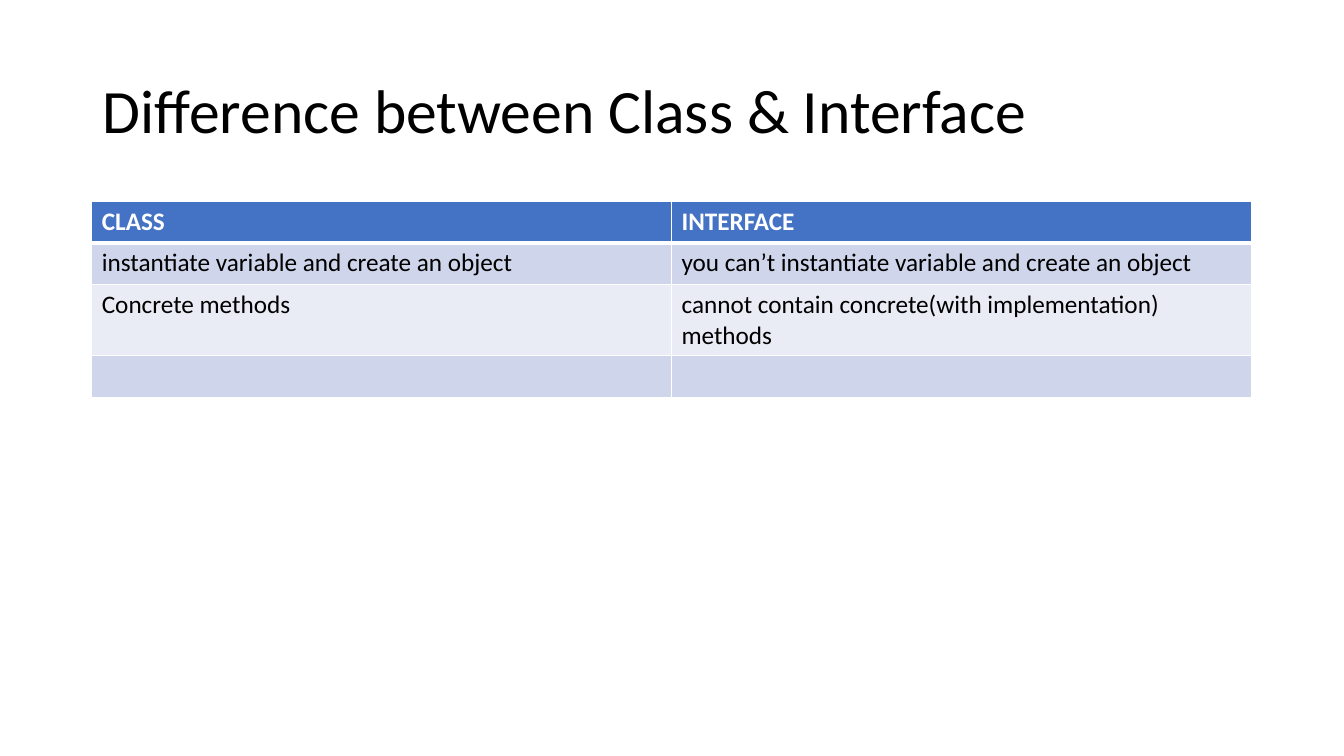
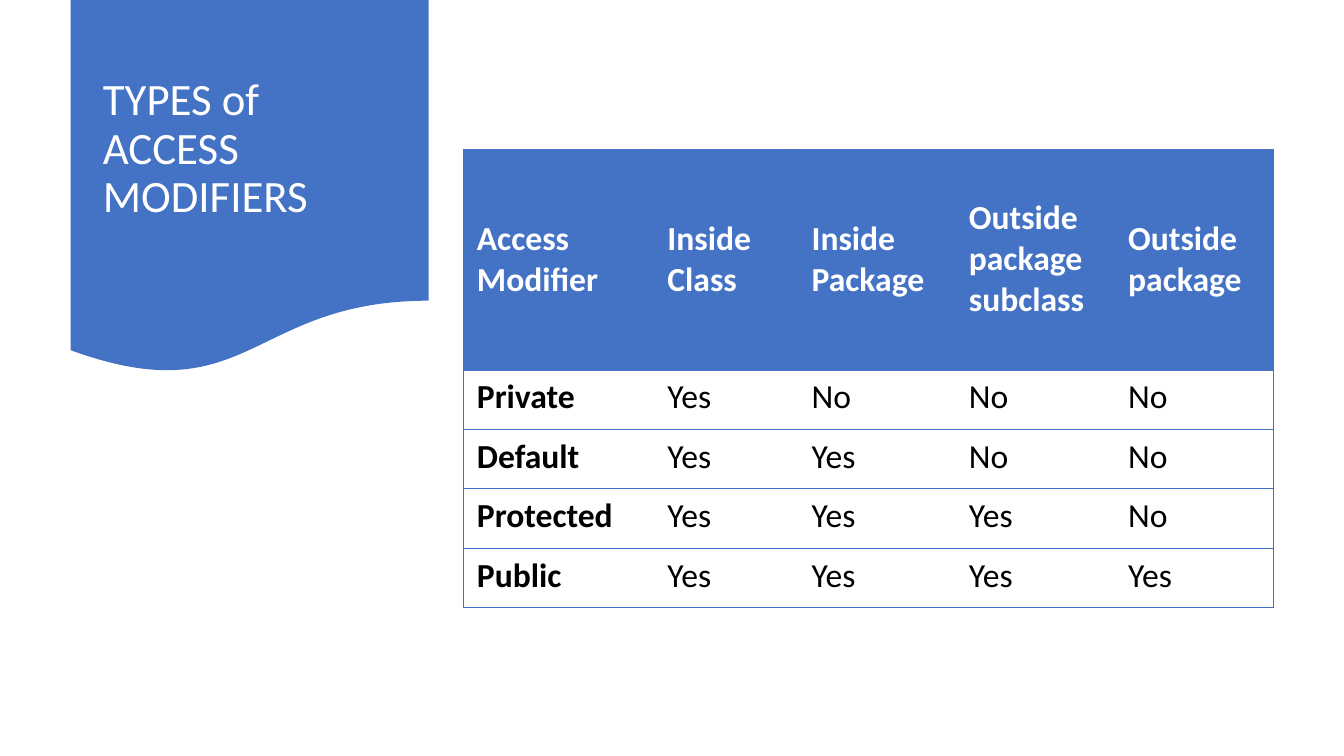
from pptx import Presentation
from pptx import util as u
from pptx.dml import color as dml
from pptx.enum import shapes, text
from pptx.oxml import parse_xml
from pptx.oxml import ns

BLUE, WHITE, BLACK = "4472C4", "FFFFFF", "000000"
BANDS = ["CFD5EA", "E9EBF5"]
FONT = "Calibri"
tone = dml.RGBColor.from_string


def style(frame, size, ink, bold=False):
    for para in frame.paragraphs:
        para.font.size = u.Pt(size)
        for run in para.runs:
            run.font.name = FONT
            run.font.size = u.Pt(size)
            run.font.bold = bold
            run.font.color.rgb = tone(ink)


def edge(cell, sides):
    props = cell._tc.get_or_add_tcPr()
    for spot, side in enumerate("LRTB"):
        ink, width = sides[side]
        fill = f'<a:solidFill><a:srgbClr val="{ink}"/></a:solidFill>' if ink else "<a:noFill/>"
        line = f'<a:ln{side} {ns.nsdecls("a")} w="{u.Pt(width)}">{fill}</a:ln{side}>'
        props.insert(spot, parse_xml(line))


deck = Presentation()
deck.slide_width = u.Inches(13.33)
deck.slide_height = u.Inches(7.5)

heads = [
    ("Difference between Class & Interface", (0.92, 0.4, 11.5, 1.45), 44, BLACK),
    ("TYPES of ACCESS MODIFIERS", (0.92, 0.19, 3.11, 2.59), 32, WHITE),
]
slides = []
for words, place, size, ink in heads:
    slide = deck.slides.add_slide(deck.slide_layouts[5])
    title = slide.shapes.title
    title.left, title.top, title.width, title.height = map(u.Inches, place)
    frame = title.text_frame
    frame.text = words
    frame.word_wrap = True
    frame.auto_size = text.MSO_AUTO_SIZE.NONE
    frame.vertical_anchor = text.MSO_ANCHOR.MIDDLE
    frame.paragraphs[0].alignment = text.PP_ALIGN.LEFT
    frame.paragraphs[0].line_spacing = 0.9
    style(frame, size, ink)
    slides.append(slide)

first, second = slides

rows = [
    ["CLASS", "INTERFACE"],
    ["instantiate variable and create an object",
     "you can’t instantiate variable and create an object"],
    ["Concrete methods", "cannot contain concrete(with implementation) methods"],
    ["", ""],
]
place = map(u.Inches, (0.91, 2, 11.5, 1.64))
table = first.shapes.add_table(len(rows), 2, *place).table
for r, row in enumerate(rows):
    table.rows[r].height = u.Inches(0.41)
    for c, words in enumerate(row):
        cell = table.cell(r, c)
        cell.text_frame.text = words
        style(cell.text_frame, 18, BLACK if r else WHITE, r == 0)
        cell.fill.solid()
        cell.fill.fore_color.rgb = tone(BANDS[(r - 1) % 2] if r else BLUE)
        sides = dict.fromkeys("LRTB", (WHITE, 1))
        if r < 2:
            sides["T" if r else "B"] = (WHITE, 3)
        edge(cell, sides)

band = second.shapes.add_shape(
    shapes.MSO_SHAPE.FLOWCHART_DOCUMENT, *map(u.Inches, (0.7, 0, 3.55, 3.72)))
band.shadow.inherit = False
band.fill.solid()
band.fill.fore_color.rgb = tone(BLUE)
band.line.fill.background()
second.shapes.title.element.addprevious(band.element)

rows = [
    ["Access Modifier", "Inside Class", "Inside Package",
     "Outside package subclass", "Outside package"],
    ["Private", "Yes", "No", "No", "No"],
    ["Default", "Yes", "Yes", "No", "No"],
    ["Protected", "Yes", "Yes", "Yes", "No"],
    ["Public", "Yes", "Yes", "Yes", "Yes"],
]
wide = [1.89, 1.43, 1.56, 1.58, 1.57]
place = map(u.Inches, (4.6, 1.48, sum(wide), 4.55))
table = second.shapes.add_table(len(rows), len(wide), *place).table
table.horz_banding = False
for c, width in enumerate(wide):
    table.columns[c].width = u.Inches(width)
for r, row in enumerate(rows):
    table.rows[r].height = u.Inches(0.59 if r else 2.19)
    for c, words in enumerate(row):
        cell = table.cell(r, c)
        cell.text_frame.text = words
        style(cell.text_frame, 24, BLACK if r else WHITE, r == 0 or c == 0)
        cell.margin_left = cell.margin_right = u.Inches(0.13)
        cell.margin_top = cell.margin_bottom = u.Inches(0.07)
        sides = dict.fromkeys("LRTB", (BLUE, 0.5))
        if r:
            cell.fill.background()
            if c > 0:
                sides["L"] = (None, 0)
            if c < len(wide) - 1:
                sides["R"] = (None, 0)
        else:
            cell.vertical_anchor = text.MSO_ANCHOR.MIDDLE
            cell.fill.solid()
            cell.fill.fore_color.rgb = tone(BLUE)
        edge(cell, sides)

deck.save("out.pptx")
